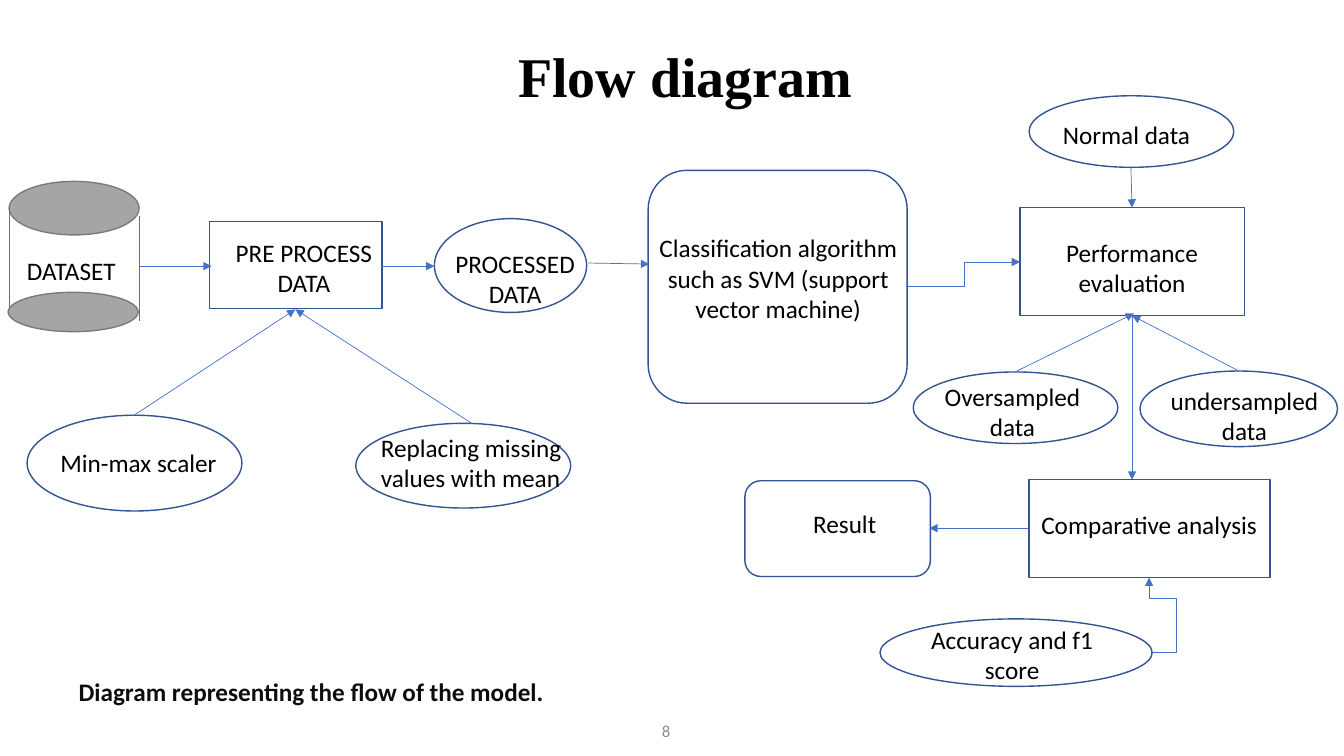
from lxml import etree
from pptx import Presentation
from pptx.dml.color import RGBColor
from pptx.enum.shapes import MSO_CONNECTOR, MSO_SHAPE
from pptx.enum.text import MSO_ANCHOR, PP_ALIGN
from pptx.oxml.ns import qn
from pptx.util import Pt

OVAL, RECT = MSO_SHAPE.OVAL, MSO_SHAPE.RECTANGLE
ROUND, PROCESS = MSO_SHAPE.ROUNDED_RECTANGLE, MSO_SHAPE.FLOWCHART_ALTERNATE_PROCESS
STRAIGHT, ELBOW = MSO_CONNECTOR.STRAIGHT, MSO_CONNECTOR.ELBOW
LEFT, CENTER, RIGHT = PP_ALIGN.LEFT, PP_ALIGN.CENTER, PP_ALIGN.RIGHT
TOP, MIDDLE = MSO_ANCHOR.TOP, MSO_ANCHOR.MIDDLE
OUTLINE, ARROW, BLACK = "325491", "4472C4", "000000"


def rgb(value):
    """Turn a hex string into a colour."""
    return RGBColor.from_string(value)


def place(box, part):
    """Give the slide lengths of a part set relative to its region's box."""
    return Pt(box[0] + part[0]), Pt(box[1] + part[1]), *map(Pt, part[2:])


def write(tf, text, align=CENTER, size=18, color=BLACK, bold=False,
          font="Calibri", anchor=TOP):
    """Fill a text frame, one paragraph for each line of text."""
    tf.word_wrap = True
    tf.vertical_anchor = anchor
    tf.text = text
    for p in tf.paragraphs:
        p.alignment = align
        p.font.name, p.font.size, p.font.bold = font, Pt(size), bold
        p.font.color.rgb = rgb(color)


def label(s, box, part, text, align=CENTER, **style):
    """Add a text box."""
    write(s.shapes.add_textbox(*place(box, part)).text_frame, text, align, **style)


def node(s, box, kind, part, fill=None, line=OUTLINE):
    """Add an outlined shape, unfilled unless a fill is given."""
    sp = s.shapes.add_shape(kind, *place(box, part))
    sp.shadow.inherit = False
    sp.line.color.rgb, sp.line.width = rgb(line), Pt(1)
    if fill:
        sp.fill.solid()
        sp.fill.fore_color.rgb = rgb(fill)
    else:
        sp.fill.background()


def link(s, box, start, end, kind=STRAIGHT, head=True):
    """Add a thin connector, with an arrowhead at its end unless head is off."""
    c = s.shapes.add_connector(kind, *place(box, start), *place(box, end))
    c.line.color.rgb, c.line.width = rgb(ARROW), Pt(0.5)
    if head:
        etree.SubElement(c.line._get_or_add_ln(), qn("a:tailEnd"), type="triangle")
    etree.SubElement(c._element.spPr, qn("a:effectLst"))
    return c


def route_four(c, *adjust):
    """Give an elbow connector four segments, bent at the given fractions."""
    geom = c._element.spPr.find(qn("a:prstGeom"))
    geom.set("prst", "bentConnector4")
    guides = geom.find(qn("a:avLst"))
    if guides is None:
        guides = etree.SubElement(geom, qn("a:avLst"))
    for i, part in enumerate(adjust, 1):
        etree.SubElement(guides, qn("a:gd"), name=f"adj{i}",
                         fmla=f"val {round(part * 100000)}")


def dataset(s, box):
    """Draw the dataset cylinder."""
    for part in ((0.7, 0, 92.9, 38.2), (0, 79.2, 92.9, 28.1)):
        node(s, box, OVAL, part, "A5A5A5", "7A7A7A")
    link(s, box, (0.7, 18.7), (0.7, 90), head=False)
    link(s, box, (93.6, 24.5), (93.6, 99.4), head=False)
    label(s, box, (6.4, 49, 91.4, 28.8), "DATASET", LEFT)


def preparation(s, box):
    """Draw preprocessing, its two methods and the processed data."""
    node(s, box, RECT, (50.4, 2.2, 123.1, 61.9), "FFFFFF")
    label(s, box, (46, 9.4, 143.3, 51.1), "PRE PROCESS DATA")
    node(s, box, OVAL, (210.9, 0, 108.7, 67))
    label(s, box, (217.4, 17.3, 102.2, 51.1), "PROCESSED\nDATA")
    for x, end in ((0, 51.8), (172.8, 210.9)):
        link(s, box, (x, 33.9), (end, 33.9))
    node(s, box, OVAL, (-80, 140.4, 153.4, 68.4))
    label(s, box, (-63.4, 159.9, 175, 28.8), "Min-max scaler", LEFT)
    node(s, box, OVAL, (154.8, 146.2, 153.4, 60.5))
    label(s, box, (165.6, 149.1, 175, 51.1), "Replacing missing values with mean", LEFT)
    for start in ((-3.6, 140.4), (237.6, 146.2)):
        link(s, box, start, (111.6, 64.8))


def classification(s, box):
    """Draw the classification step with the arrows in and out."""
    node(s, box, PROCESS, (43.2, 0, 185, 166.3))
    label(s, box, (43.2, 41, 185.8, 72.7),
          "Classification algorithm such as SVM (support vector machine)")
    link(s, box, (0, 66.2), (43.9, 66.9))
    link(s, box, (228.9, 82.8), (308.8, 65.5), ELBOW)


def evaluation(s, box):
    """Draw performance evaluation and the three kinds of data it takes."""
    node(s, box, RECT, (76.3, 79.9, 160.6, 77))
    label(s, box, (63.4, 97.2, 185.8, 51.1), "Performance evaluation")
    node(s, box, OVAL, (82.8, 0, 146.2, 51.1))
    label(s, box, (99.8, 13, 156, 28.8), "Normal data", LEFT)
    node(s, box, OVAL, (0, 197.3, 146.2, 51.1))
    label(s, box, (10.8, 200.2, 120.2, 51.1), "Oversampled data")
    node(s, box, OVAL, (162, 196.6, 141.1, 54))
    label(s, box, (152.7, 203, 167.8, 51.1), "undersampled\ndata")
    for start, end in (((155.5, 50.4), (156.3, 79.9)),
                       ((72.7, 197.3), (157.7, 155.5)),
                       ((232.6, 196.6), (156.3, 157)),
                       ((156.3, 157), (156.3, 274.3))):
        link(s, box, start, end)


def outcome(s, box):
    """Draw the comparative analysis, its scores and the result."""
    node(s, box, RECT, (203, 0, 172.1, 69.8))
    label(s, box, (191.5, 17.3, 194.4, 28.8), "Comparative analysis")
    node(s, box, ROUND, (0, 0.7, 132.5, 68.4))
    label(s, box, (41.7, 16.6, 165.6, 28.8), "Result", LEFT)
    link(s, box, (203, 34.6), (131.7, 34.6))
    node(s, box, OVAL, (96.5, 99.4, 194.4, 48.2))
    label(s, box, (112.3, 99.4, 157, 51.1), "Accuracy and f1 score")
    scores = link(s, box, (290.1, 123.1), (288.7, 69.9), ELBOW)
    route_four(scores, -13, 0.72)


def frame(s, box):
    """Place the title, the caption and the slide number."""
    title = s.shapes.title
    title.left, title.top, title.width, title.height = place(box, (216, 26, 547, 55.4))
    write(title.text_frame, "Flow diagram", size=40, bold=True, font="Times New Roman")
    label(s, box, (49, 479.5, 533, 28.8), "Diagram representing the flow of the model.",
          LEFT, color="0D0D0D", bold=True)
    label(s, box, (270, 507.6, 216, 28.8), "8", RIGHT, size=12, color="8C8C8C",
          anchor=MIDDLE)


def main():
    """Build the slide and save it."""
    prs = Presentation()
    prs.slide_width, prs.slide_height = Pt(960), Pt(540)
    s = prs.slides.add_slide(prs.slide_layouts[5])
    frame(s, (0, 0))
    dataset(s, (5.8, 129.6))
    preparation(s, (99.4, 156.2))
    classification(s, (419.8, 121.7))
    evaluation(s, (652.3, 68.4))
    outcome(s, (532.1, 342.7))
    prs.save("out.pptx")


main()
